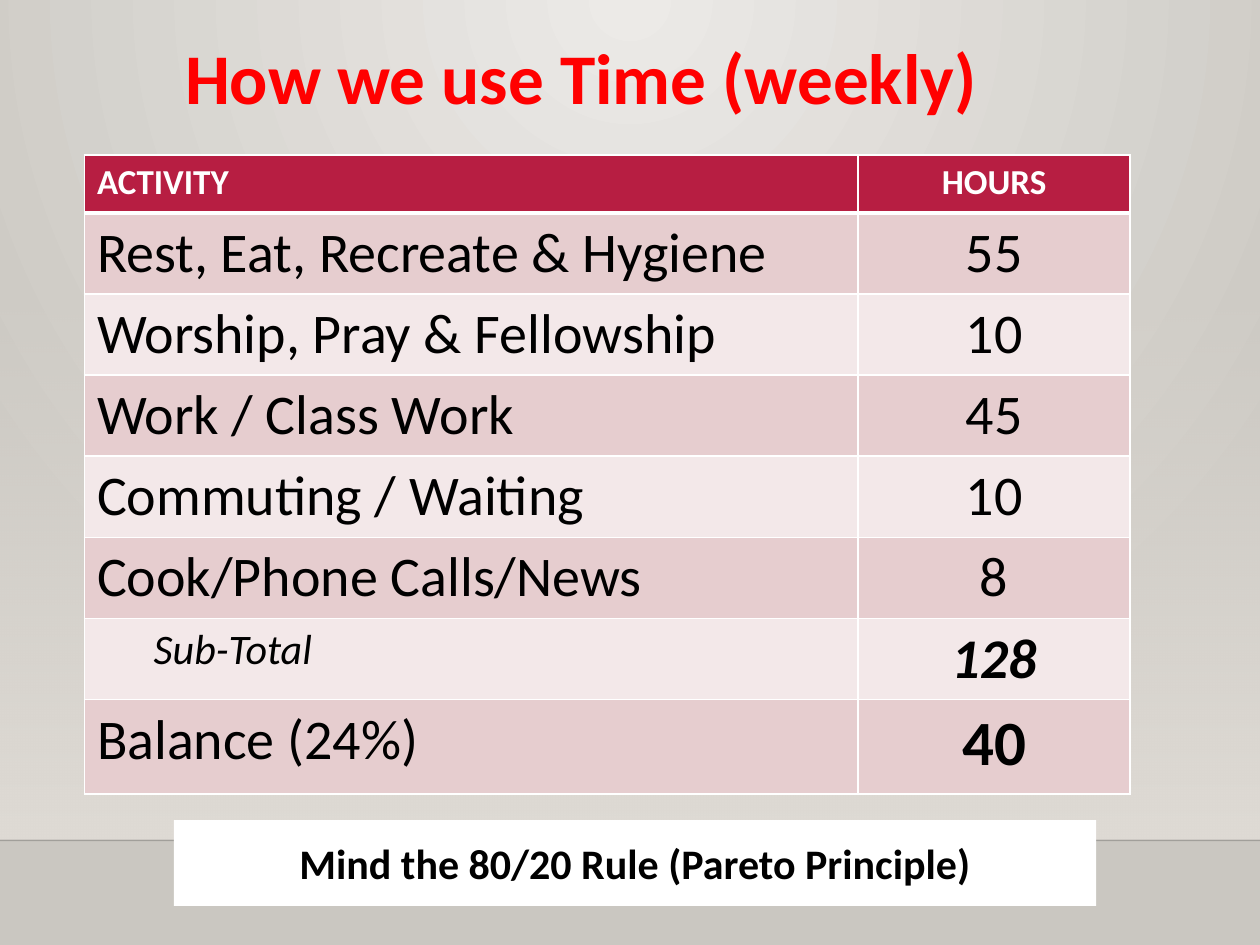
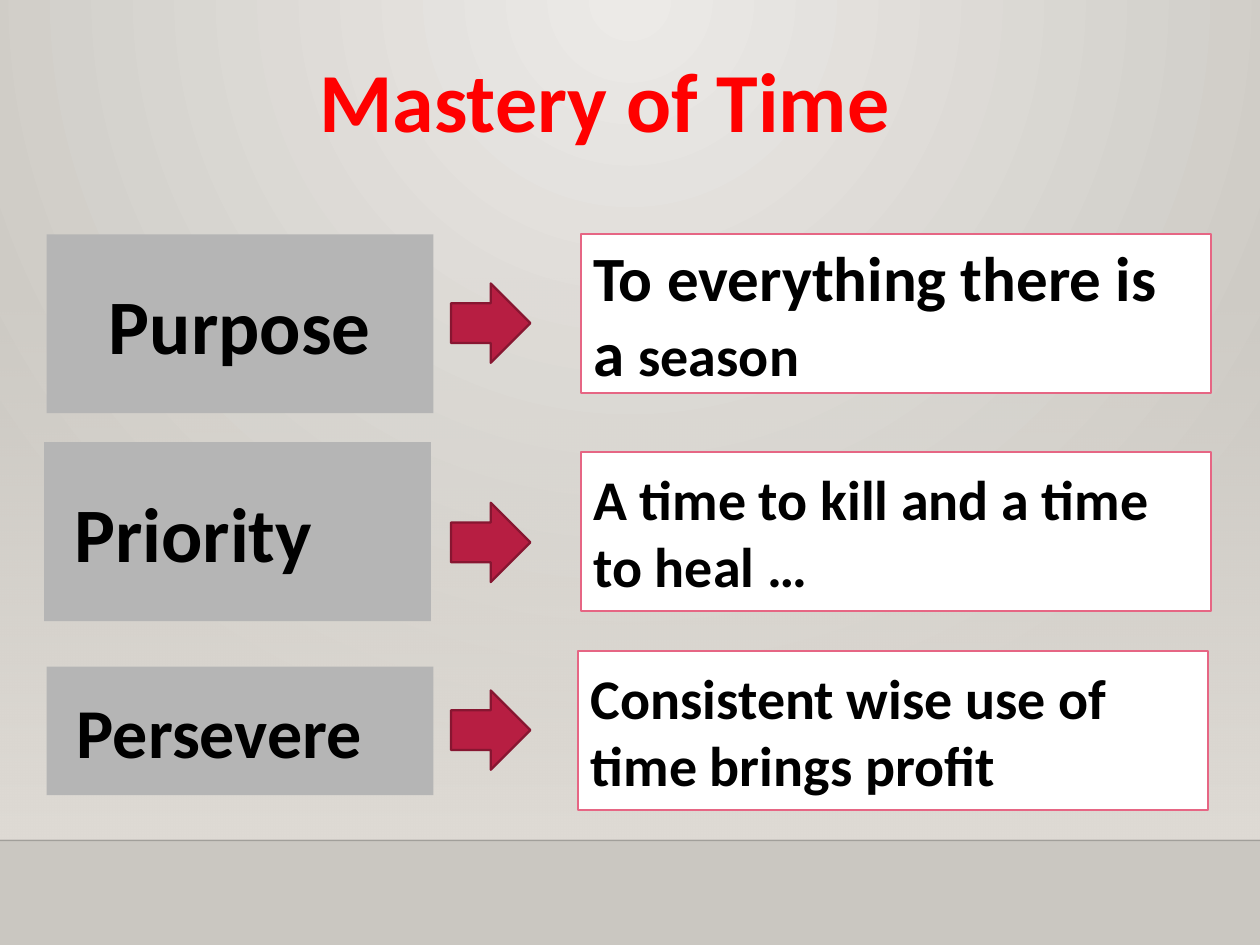
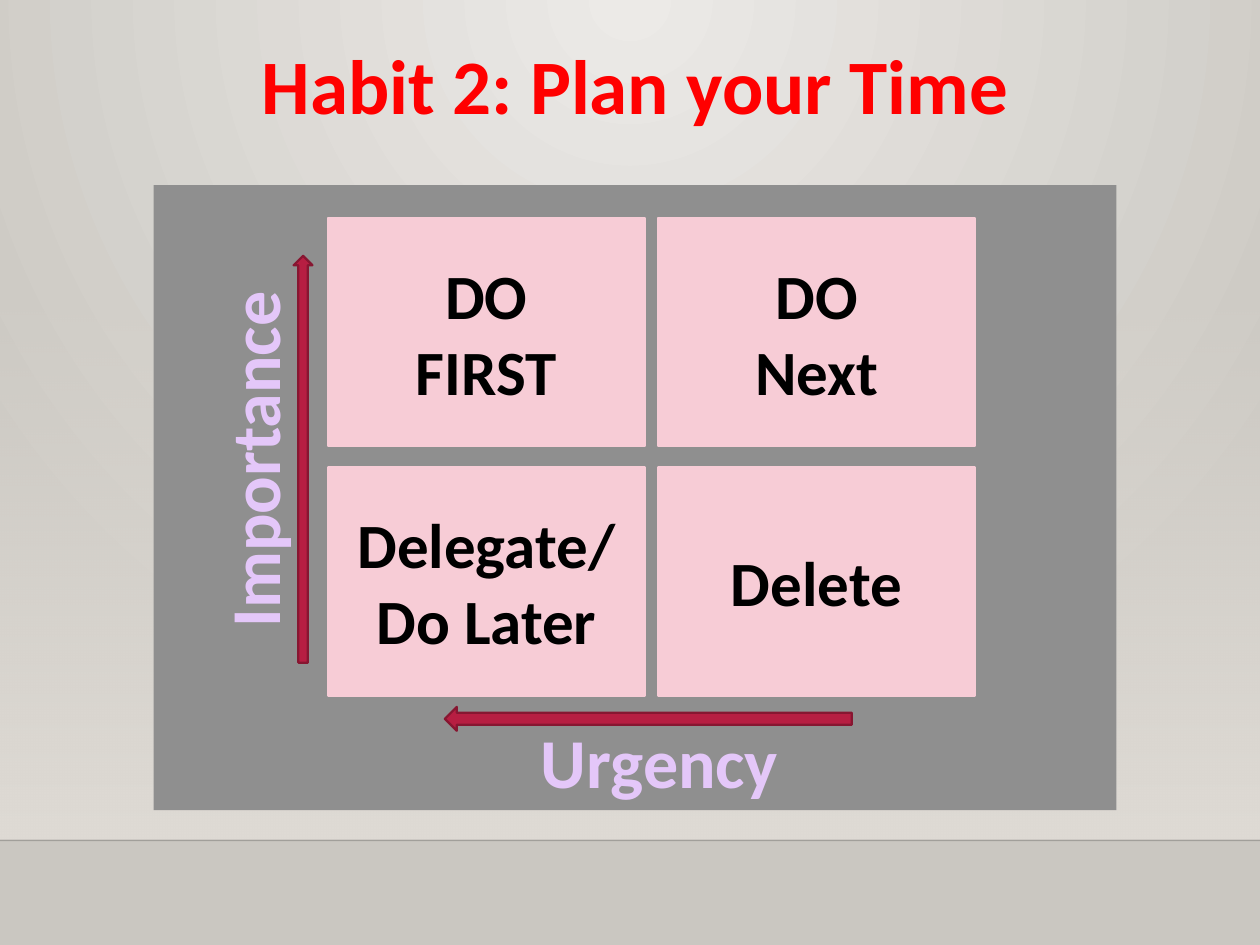
from dataclasses import dataclass

from lxml.etree import SubElement
from pptx import Presentation
from pptx.dml.color import RGBColor
from pptx.enum.shapes import MSO_CONNECTOR, MSO_SHAPE
from pptx.enum.text import MSO_ANCHOR, MSO_AUTO_SIZE, PP_ALIGN
from pptx.oxml import parse_xml
from pptx.oxml.ns import nsdecls, qn
from pptx.util import Inches, Pt


@dataclass(frozen=True)
class Theme:
    # Colours
    glow: str = "ECEAE7"
    floor: str = "CAC7C1"
    wall: str = "DFDBD5"
    black: str = "000000"
    white: str = "FFFFFF"
    title: str = "FF0000"
    accent: str = "B71E42"
    accent_dark: str = "871631"
    accent_line: str = "E66684"
    accent_pale: str = "F7CCD6"
    band_dark: str = "E6CDCF"
    band_light: str = "F3E8E9"
    key: str = "B5B5B5"
    panel: str = "8F8F8F"
    axis: str = "E4C7F9"
    # Type
    font: str = "Calibri"
    header: float = 20
    note: float = 24
    body: float = 32
    large: float = 36
    label: float = 40
    table_title: float = 40.7
    heading: float = 44
    big_title: float = 48
    # Lines
    outline: float = 1.25


LEFT, CENTER = PP_ALIGN.LEFT, PP_ALIGN.CENTER


def color(value):
    return RGBColor.from_string(value)


def apply(target, values):
    for name, value in values.items():
        setattr(target, name, value)


def replace_fill(properties, stops, direction):
    """Swap an empty fill for a gradient of (position, colour, alpha) stops."""
    stop_xml = "".join(
        f'<a:gs pos="{place * 1000}"><a:srgbClr val="{value}">'
        f'<a:alpha val="{alpha * 1000}"/></a:srgbClr></a:gs>'
        for place, value, alpha in stops)
    gradient = parse_xml(f'<a:gradFill {nsdecls("a")} rotWithShape="1">'
                         f'<a:gsLst>{stop_xml}</a:gsLst>{direction}</a:gradFill>')
    properties.replace(properties.find(qn("a:noFill")), gradient)


class SlideMaker:
    """Holds the theme and the current page."""

    def __init__(self, deck, theme):
        self.deck, self.theme, self.page = deck, theme, None

    def new_page(self, title, at, size, spacing=0.9):
        self.page = self.deck.slides.add_slide(self.deck.slide_layouts[5])
        box = self.page.shapes.title
        apply(box, dict(zip(("left", "top", "width", "height"), map(Inches, at))))
        self.set_text(box.text_frame, title, size, self.theme.title, spacing=spacing)

    def add_span(self, para, text, size, ink, bold=True, italic=False):
        span = para.add_run()
        span.text = text
        apply(span.font, {"name": self.theme.font, "size": Pt(size),
                          "bold": bold, "italic": italic})
        span.font.color.rgb = color(ink)

    def set_text(self, frame, text, size, ink, align=CENTER, anchor=MSO_ANCHOR.BOTTOM,
                 spacing=None, indent=0.1):
        """Fill a frame; text is a string or a list of (text, size) spans."""
        apply(frame, {"word_wrap": True, "auto_size": MSO_AUTO_SIZE.NONE,
                      "vertical_anchor": anchor, "margin_left": Inches(indent)})
        paras = text.split("\n") if isinstance(text, str) else [text]
        for index, content in enumerate(paras):
            para = frame.add_paragraph() if index else frame.paragraphs[0]
            para.alignment = align
            if spacing:
                apply(para, {"line_spacing": spacing, "space_after": Pt(6)})
            spans = [(content, size)] if isinstance(content, str) else content
            for words, points in spans:
                self.add_span(para, words, points, ink)

    def shape(self, kind, at, fill=None, line=None, rotation=0):
        shape = self.page.shapes.add_shape(kind, *map(Inches, at))
        shape.rotation = rotation
        shape.shadow.inherit = False
        if fill:
            shape.fill.solid()
            shape.fill.fore_color.rgb = color(fill)
        else:
            shape.fill.background()
        if line:
            shape.line.color.rgb = color(line)
            shape.line.width = Pt(self.theme.outline)
        else:
            shape.line.fill.background()
        return shape

    def box(self, at, text, size, fill, line=None, **format_values):
        shape = self.shape(MSO_SHAPE.RECTANGLE, at, fill, line)
        self.set_text(shape.text_frame, text, size, self.theme.black,
                      anchor=MSO_ANCHOR.MIDDLE, **format_values)

    def arrow(self, kind, at, rotation=0):
        self.shape(kind, at, self.theme.accent, self.theme.accent_dark, rotation)

    def axis_label(self, at, text, rotation=0):
        label = self.page.shapes.add_textbox(*map(Inches, at))
        label.rotation = rotation
        self.set_text(label.text_frame, text, self.theme.label, self.theme.axis,
                      spacing=0.9)

    def table(self, at, widths, heights):
        table = self.page.shapes.add_table(len(heights), len(widths),
                                           *map(Inches, at)).table
        for column, width in zip(table.columns, widths):
            column.width = Inches(width)
        for row, height in zip(table.rows, heights):
            row.height = Inches(height)
        return table

    def cell(self, cell, text, size, ink, fill, align, bottom=1, indent=0.1,
             bold=False, italic=False):
        cell.margin_left = Inches(indent)
        para = cell.text_frame.paragraphs[0]
        para.alignment = align
        self.add_span(para, text, size, ink, bold, italic)
        properties = cell._tc.get_or_add_tcPr()
        for side, width in (("lnL", 1), ("lnR", 1), ("lnT", 1), ("lnB", bottom)):
            border = SubElement(properties, qn(f"a:{side}"), w=str(Pt(width)))
            solid = SubElement(border, qn("a:solidFill"))
            SubElement(solid, qn("a:srgbClr"), val=self.theme.white)
        cell.fill.solid()
        cell.fill.fore_color.rgb = color(fill)

    def backdrop(self):
        """Give the master its background, wall and floor line."""
        theme, master = self.theme, self.deck.slide_master
        master.background.fill.background()
        replace_fill(master.element.find(f".//{qn('p:bgPr')}"),
                     [(0, theme.glow, 100), (100, theme.floor, 100)],
                     '<a:path path="circle"><a:fillToRect l="43000" t="0" '
                     'r="43000" b="100000"/></a:path>')
        wall = self.shape(MSO_SHAPE.RECTANGLE, (0, 2.2, 10, 4.46))
        replace_fill(wall.element.spPr, [(0, theme.wall, 0), (100, theme.wall, 100)],
                     '<a:lin ang="5400000" scaled="0"/>')
        edge = self.page.shapes.add_connector(
            MSO_CONNECTOR.STRAIGHT, *map(Inches, (0, 6.67, 10, 6.67)))
        edge.line.width = Pt(1)
        edge.line.color.rgb = color(theme.black)
        properties = edge.element.spPr
        SubElement(properties.find(f".//{qn('a:srgbClr')}"), qn("a:alpha"), val="20000")
        SubElement(properties, qn("a:effectLst"))
        # Move both behind the master's placeholders
        tree = master.shapes.element
        for offset, part in enumerate((wall, edge)):
            part.element.find(f".//{qn('p:cNvPr')}").set("id", str(101 + offset))
            tree.insert(2 + offset, part.element)


def time_use(maker):
    theme = maker.theme
    maker.new_page("How we use Time (weekly)", (0.87, 0.24, 7.48, 0.76),
                   theme.table_title)

    # Activity table
    rows = [
        ("Rest, Eat, Recreate & Hygiene", "55"),
        ("Worship, Pray & Fellowship", "10"),
        ("Work / Class Work", "45"),
        ("Commuting / Waiting", "10"),
        ("Cook/Phone Calls/News", "8"),
        ("Sub-Total", "128"),
        ("Balance (24%)", "40"),
    ]
    regular = ((theme.body, {}), (theme.body, {}))
    special = {
        "Sub-Total": ((theme.note, {"italic": True, "indent": 0.55}),
                      (theme.body, {"italic": True, "bold": True})),
        "Balance (24%)": ((theme.body, {}), (theme.large, {"bold": True})),
    }
    table = maker.table((0.67, 1.23, 8.3, 5.05), (6.14, 2.16), [0.46] + [0.64] * 6 + [0.75])
    for column, (text, align) in enumerate((("ACTIVITY", LEFT), ("HOURS", CENTER))):
        maker.cell(table.cell(0, column), text, theme.header, theme.white,
                   theme.accent, align, bottom=3, bold=True)
        for index, row in enumerate(rows, 1):
            size, values = special.get(row[0], regular)[column]
            band = theme.band_dark if index % 2 else theme.band_light
            maker.cell(table.cell(index, column), row[column], size, theme.black,
                       band, align, **values)

    # Closing rule
    maker.box((1.38, 6.51, 7.32, 0.68), "Mind the 80/20 Rule (Pareto Principle)",
              theme.note, theme.white)


def mastery(maker):
    theme = maker.theme
    maker.new_page("Mastery of Time", (1.22, 0.47, 7.16, 0.76), theme.big_title,
                   spacing=0.8)

    # Key word, arrow and saying in each row
    left_text = {"align": LEFT, "indent": 0.24}
    rows = [
        ("Purpose", theme.heading, (0.37, 1.86, 3.07, 1.42), {}, 2.25, (4.61, 1.86),
         [("To everything there is a ", theme.large), ("season", theme.body)]),
        ("Priority", theme.heading, (0.35, 3.51, 3.07, 1.42), left_text, 3.99, (4.61, 3.59),
         "A time to kill and a time to heal …"),
        ("Persevere", theme.label, (0.37, 5.29, 3.07, 1.02), left_text, 5.48, (4.59, 5.17),
         "Consistent wise use of time brings profit"),
    ]
    for word, size, at, values, arrow_top, corner, saying in rows:
        maker.box(at, word, size, theme.key, **values)
        maker.box((*corner, 5, 1.26), saying, theme.body, theme.white,
                  theme.accent_line, align=LEFT)
        maker.arrow(MSO_SHAPE.RIGHT_ARROW, (3.58, arrow_top, 0.63, 0.63))


def planning(maker):
    theme = maker.theme
    maker.new_page("Habit 2: Plan your Time", (0.91, 0.33, 8.27, 0.76), theme.heading)
    maker.shape(MSO_SHAPE.RECTANGLE, (1.22, 1.47, 7.64, 4.96), theme.panel)

    # Quadrants
    quadrants = ["DO\nFIRST", "DO\nNext", "Delegate/\nDo Later", "Delete"]
    for index, text in enumerate(quadrants):
        row, column = divmod(index, 2)
        maker.box((2.6 + 2.62 * column, 1.73 + 1.98 * row, 2.52, 1.81), text,
                  theme.large, theme.accent_pale, theme.accent_pale)

    # Axes
    maker.arrow(MSO_SHAPE.DOWN_ARROW, (2.33, 2.03, 0.15, 3.23), rotation=180)
    maker.arrow(MSO_SHAPE.DOWN_ARROW, (5.05, 4.09, 0.19, 3.23), rotation=90)
    maker.axis_label((3.62, 5.92, 3.23, 0.51), "Urgency")
    maker.axis_label((0.1, 3.29, 3.88, 0.71), "Importance", rotation=270)


def main():
    deck = Presentation()
    apply(deck, {"slide_width": Inches(10), "slide_height": Inches(7.5)})
    maker = SlideMaker(deck, Theme())
    for build in (time_use, mastery, planning):
        build(maker)
    maker.backdrop()
    deck.save("out.pptx")


if __name__ == "__main__":
    main()
